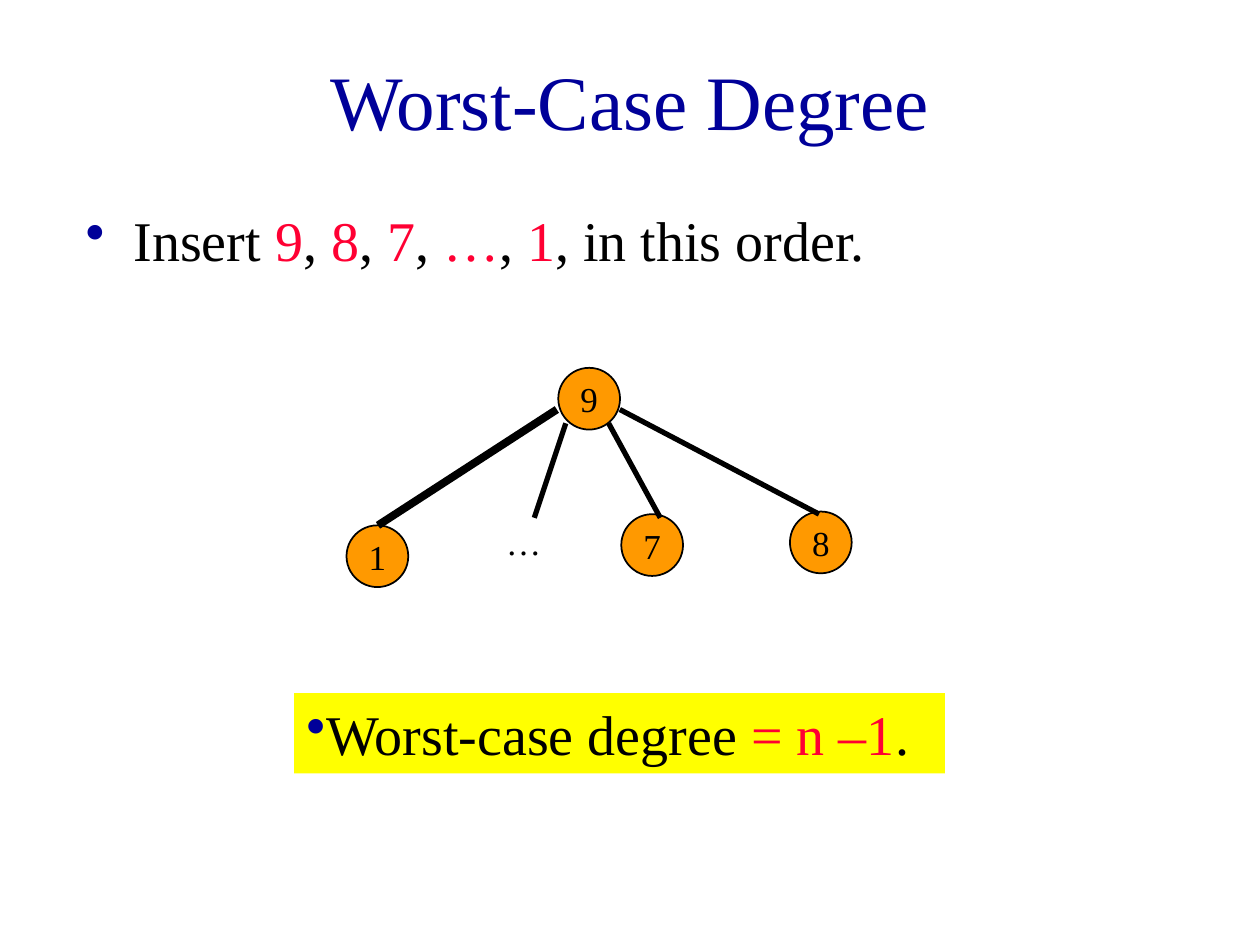
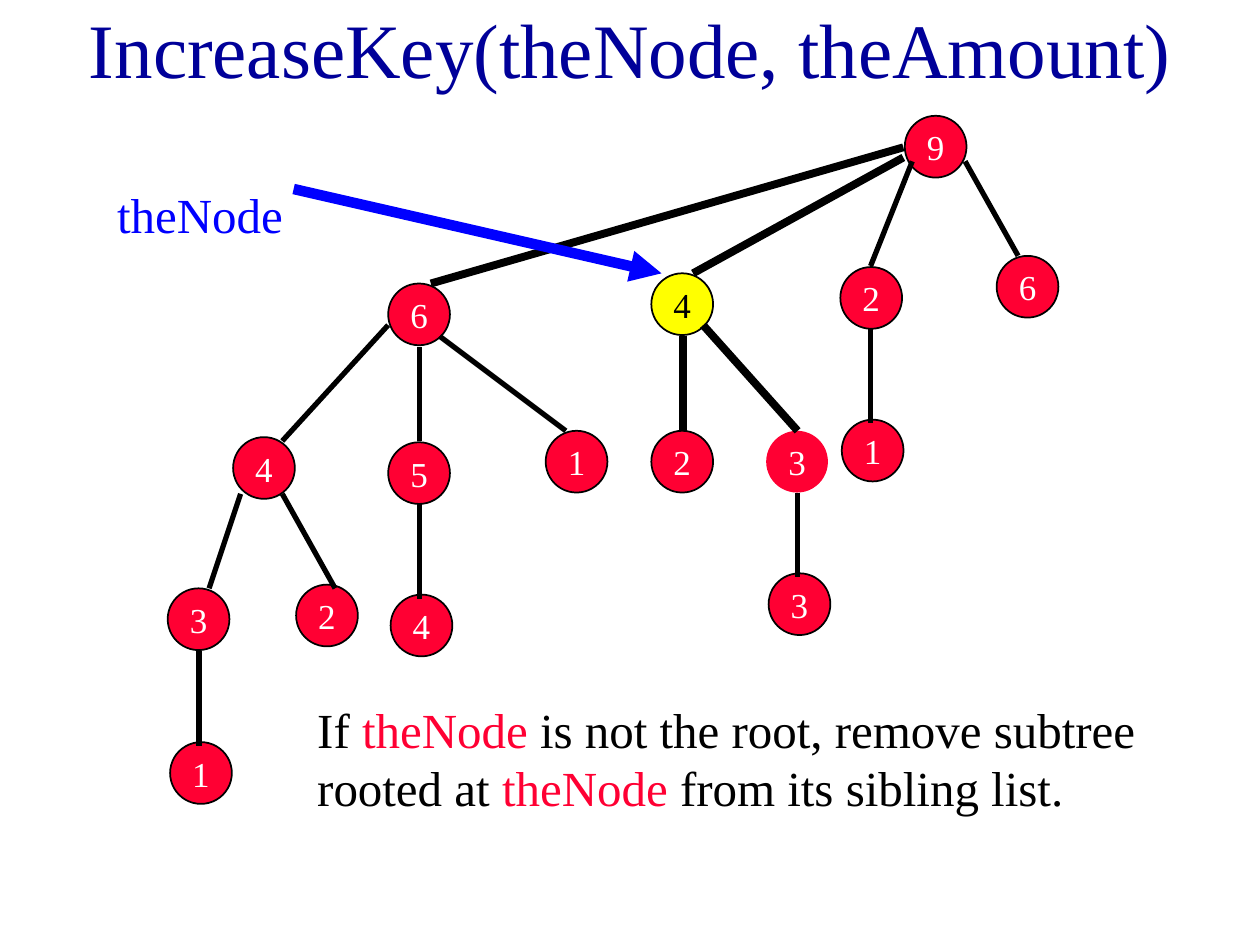
from lxml import etree
from pptx import Presentation
from pptx.dml.color import RGBColor
from pptx.enum.shapes import MSO_CONNECTOR, MSO_SHAPE
from pptx.enum.text import MSO_ANCHOR, PP_ALIGN
from pptx.oxml.ns import qn
from pptx.util import Pt

STRAIGHT, OVAL = MSO_CONNECTOR.STRAIGHT, MSO_SHAPE.OVAL
TOP, MIDDLE = MSO_ANCHOR.TOP, MSO_ANCHOR.MIDDLE
LEFT, CENTER = PP_ALIGN.LEFT, PP_ALIGN.CENTER

FONT = "Times New Roman"
COLORS = {
    "navy": "000099", "black": "000000", "white": "FFFFFF", "red": "FF0033",
    "orange": "FF9900", "yellow": "FFFF00", "blue": "0000FF",
}
NODE_SIZE = 35.3
THIN, THICK = 3, 4.5

# Body texts alternate black and red spans, starting with black.
INSERT_ORDER = ["Insert ", "9", ", ", "8", ", ", "7", ", ", "…", ", ", "1", ", in this order."]
WORST_DEGREE = ["Worst-case degree ", "= n –1", "."]
REMOVE_RULE = ["If ", "theNode ", "is not the root, remove subtree rooted at ",
               "theNode", " from its sibling list."]

# Nodes: label, left, top. Edges: start x, start y, end x, end y, width.
WORST_NODES = [("9", 319, 210.2), ("8", 451.4, 292.3), ("7", 355, 293.8), ("1", 198, 300.2)]
WORST_EDGES = [
    (354.2, 234, 468, 293.8, THIN),
    (347.8, 241.9, 377.3, 295.9, THIN),
    (318.2, 234, 216, 300.2, THICK),
    (323.3, 241.9, 305.3, 295.9, THIN),
]

HEAP_NODES = [
    ("9", 517, 66.2),
    ("2", 480.2, 152.6), ("6", 569.5, 146.2), ("1", 481, 239.8),
    ("6", 221.8, 162), ("5", 221.8, 252.7), ("1", 311.8, 246.2), ("4", 223.2, 339.8),
    ("4", 133.2, 249.8), ("3", 95.8, 336.2), ("2", 169.2, 334.1), ("1", 97.2, 424.1),
    ("2", 372.2, 246.2), ("3", 439.2, 327.6),
]
THE_NODE = ("4", 372.2, 156.2)
UNLINED_NODE = ("3", 437.8, 246.2)
HEAP_EDGES = [
    (497.5, 188, 497.5, 242, THIN),
    (521.3, 92.2, 497.5, 152, THIN),
    (551.5, 92.2, 581.8, 146.2, THIN),
    (239.8, 288, 239.8, 342, THIN),
    (239.8, 198, 239.8, 252, THIN),
    (251.3, 192.2, 323.3, 246.2, THIN),
    (113.8, 372.2, 113.8, 426.2, THIN),
    (137.5, 282.2, 119.5, 336.2, THIN),
    (161.3, 282.2, 191.5, 336.2, THIN),
    (221.8, 185.8, 161.3, 252, THIN),
    (455.8, 281.5, 455.8, 329.8, THIN),
    (390.2, 192.2, 390.2, 246.2, THICK),
    (401.8, 185.8, 455.8, 246.2, THICK),
    (516.2, 90, 396, 156.2, THICK),
    (516.2, 84.2, 246.2, 162, THICK),
]
NODE_ARROW = (167.8, 108, 378, 156.2, 6)


def rgb(name):
    return RGBColor.from_string(COLORS[name])


def write(box, spans, size, anchor=TOP, align=LEFT, before=0):
    """Fill a shape with one paragraph of (text, colour) spans."""
    box.text_frame.vertical_anchor = anchor
    para = box.text_frame.paragraphs[0]
    para.alignment = align
    para.space_before = Pt(before)
    for text, color in spans:
        span = para.add_run()
        span.text = text
        span.font.name = FONT
        span.font.size = Pt(size)
        span.font.color.rgb = rgb(color)
    return para


def add_text(page, place, spans, size, **style):
    box = page.shapes.add_textbox(*map(Pt, place))
    box.text_frame.word_wrap = True
    return box, write(box, spans, size, **style)


def alternate(texts):
    return [(text, ("black", "red")[i % 2]) for i, text in enumerate(texts)]


def add_title(page, text, place):
    add_text(page, place, [(text, "navy")], 44, anchor=MIDDLE, align=CENTER)


def add_bullet(para, indent=0):
    properties = para._p.get_or_add_pPr()
    properties.set("marL", str(Pt(indent)))
    properties.set("indent", str(-Pt(indent)))
    color = etree.SubElement(properties, qn("a:buClr"))
    etree.SubElement(color, qn("a:srgbClr"), val=COLORS["navy"])
    etree.SubElement(properties, qn("a:buChar"), char="•")


def add_node(page, label, left, top, fill, color, outlined=True):
    node = page.shapes.add_shape(OVAL, *map(Pt, (left, top, NODE_SIZE, NODE_SIZE)))
    node.shadow.inherit = False
    node.fill.solid()
    node.fill.fore_color.rgb = rgb(fill)
    if outlined:
        node.line.color.rgb = rgb("black")
        node.line.width = Pt(1)
    else:
        node.line.fill.background()
    frame = node.text_frame
    frame.margin_left = frame.margin_right = frame.margin_top = frame.margin_bottom = 0
    frame.word_wrap = False
    write(node, [(label, color)], 20, anchor=MIDDLE, align=CENTER)


def add_edge(page, x1, y1, x2, y2, width, color="black", arrow=False):
    edge = page.shapes.add_connector(STRAIGHT, *map(Pt, (x1, y1, x2, y2)))
    edge.line.color.rgb = rgb(color)
    edge.line.width = Pt(width)
    if arrow:
        etree.SubElement(edge.line._get_or_add_ln(), qn("a:tailEnd"), type="triangle")
    etree.SubElement(edge._element.spPr, qn("a:effectLst"))


def add_tree(page, nodes, edges, fill, color):
    for node in nodes:
        add_node(page, *node, fill, color)
    for edge in edges:
        add_edge(page, *edge)


def build_worst_case(page):
    add_title(page, "Worst-Case Degree", (54, 12.2, 612, 90))
    _, para = add_text(page, (41.8, 113.8, 612, 54), alternate(INSERT_ORDER), 32, before=8)
    add_bullet(para, 27.4)
    add_tree(page, WORST_NODES, WORST_EDGES, "orange", "black")
    add_text(page, (282.2, 293.8, 48.2, 31.7), [("…", "black")], 20, before=12.5)
    box, para = add_text(page, (168, 396, 372, 46), alternate(WORST_DEGREE), 32)
    box.fill.solid()
    box.fill.fore_color.rgb = rgb("yellow")
    add_bullet(para)


def build_increase_key(page):
    add_title(page, "IncreaseKey(theNode, theAmount)", (12.2, 0, 696, 54))
    add_text(page, (174.2, 396, 545.8, 75), alternate(REMOVE_RULE), 28, before=17.5)
    add_node(page, *THE_NODE, "yellow", "black")
    add_node(page, *UNLINED_NODE, "red", "white", outlined=False)
    add_tree(page, HEAP_NODES, HEAP_EDGES, "red", "white")
    add_edge(page, *NODE_ARROW, color="blue", arrow=True)
    add_text(page, (59.8, 102.2, 138.2, 41), [("theNode", "blue")], 28, before=17.5)


def main():
    deck = Presentation()
    deck.slide_width, deck.slide_height = Pt(720), Pt(540)
    for build in (build_worst_case, build_increase_key):
        build(deck.slides.add_slide(deck.slide_layouts[6]))
    deck.save("out.pptx")


if __name__ == "__main__":
    main()
